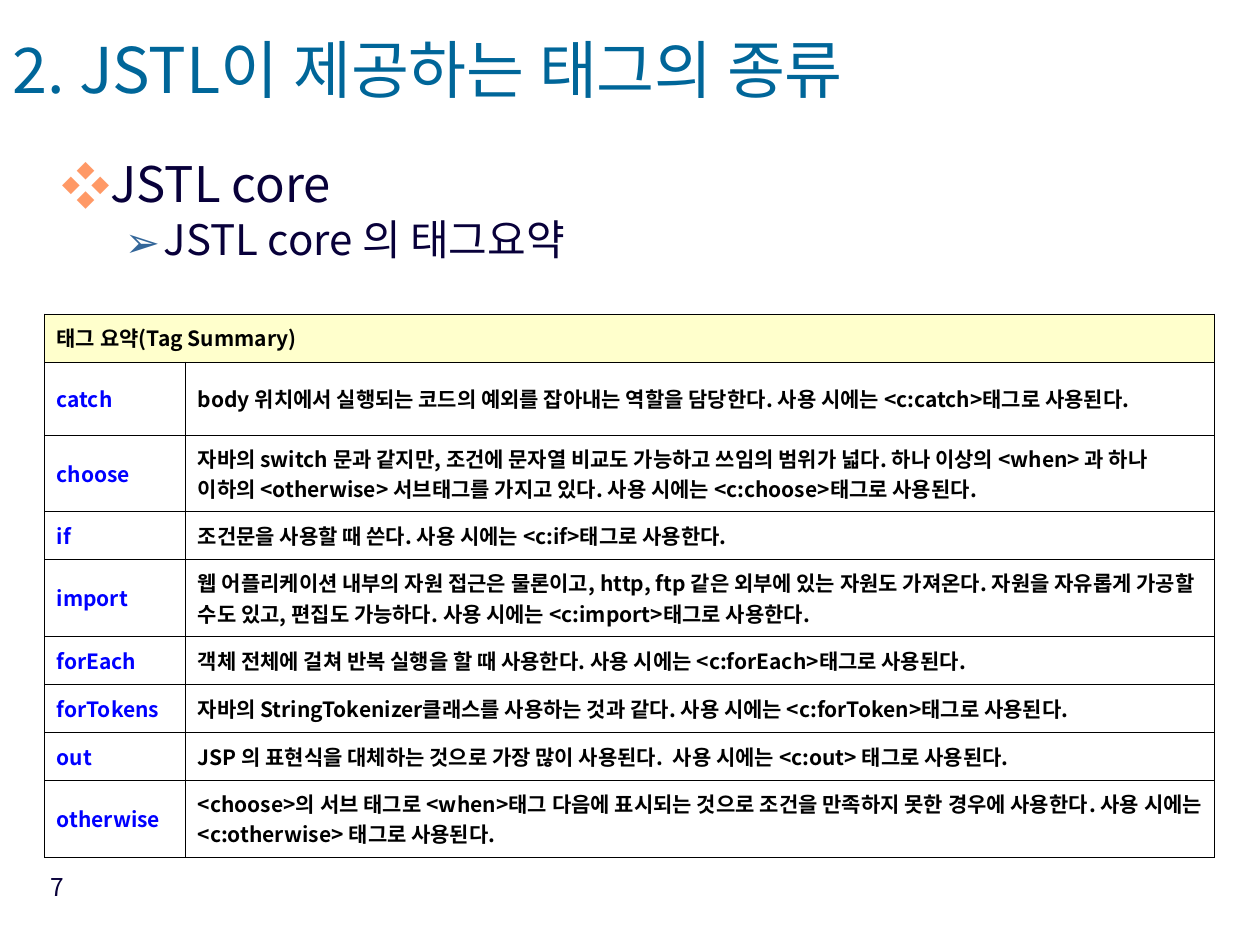
from dataclasses import dataclass

from lxml.etree import SubElement
from pptx import Presentation
from pptx.dml.color import RGBColor
from pptx.enum.text import MSO_ANCHOR, MSO_AUTO_SIZE, PP_ALIGN
from pptx.oxml.ns import qn
from pptx.util import Inches, Pt

UNIT = 0.1  # the slide is a grid of 100 columns by 75 rows


@dataclass(frozen=True)
class Theme:
    font: str = "Noto Sans CJK KR"
    title: str = "006699"
    body: str = "08003A"
    bullet: str = "FF9966"
    sub_bullet: str = "336699"
    tag: str = "0000FF"
    ink: str = "000000"
    header_fill: str = "FFFFCC"
    cell_fill: str = "FFFFFF"
    title_size: int = 36
    item_size: int = 28
    sub_item_size: int = 24
    table_size: int = 12
    number_size: int = 14
    border: float = 0.06


@dataclass(frozen=True)
class Box:
    column: float
    row: float
    columns: float
    rows: float

    def lengths(self):
        return [grid(n) for n in (self.column, self.row, self.columns, self.rows)]


THEME = Theme()
TITLE = "2. JSTL이 제공하는 태그의 종류"
ITEMS = [
    # text, size, bullet, bullet colour, left margin, hanging indent, space before
    ("JSTL core", THEME.item_size, "❖", THEME.bullet, 3.8, 3.8, 0),
    ("JSTL core 의 태그요약", THEME.sub_item_size, "➢", THEME.sub_bullet, 8.1, 3.1, 4),
]
TABLE_HEADER = "태그 요약(Tag Summary)"
TAGS = [
    # name, summary, row height
    ("catch", "body 위치에서 실행되는 코드의 예외를 잡아내는 역할을 담당한다. "
     "사용 시에는 <c:catch>태그로 사용된다.", 5.8),
    ("choose", "자바의 switch 문과 같지만, 조건에 문자열 비교도 가능하고 쓰임의 범위가 넓다. "
     "하나 이상의 <when> 과 하나 이하의 <otherwise> 서브태그를 가지고 있다. "
     "사용 시에는 <c:choose>태그로 사용된다.", 6.1),
    ("if", "조건문을 사용할 때 쓴다. 사용 시에는 <c:if>태그로 사용한다.", 3.8),
    ("import", "웹 어플리케이션 내부의 자원 접근은 물론이고, http, ftp 같은 외부에 있는 자원도 "
     "가져온다. 자원을 자유롭게 가공할 수도 있고, 편집도 가능하다. "
     "사용 시에는 <c:import>태그로 사용한다.", 6.1),
    ("forEach", "객체 전체에 걸쳐 반복 실행을 할 때 사용한다. "
     "사용 시에는 <c:forEach>태그로 사용된다.", 3.8),
    ("forTokens", "자바의 StringTokenizer클래스를 사용하는 것과 같다. "
     "사용 시에는 <c:forToken>태그로 사용된다.", 3.8),
    ("out", "JSP 의 표현식을 대체하는 것으로 가장 많이 사용된다.  "
     "사용 시에는 <c:out> 태그로 사용된다.", 3.8),
    ("otherwise", "<choose>의 서브 태그로 <when>태그 다음에 표시되는 것으로 조건을 만족하지 못한 "
     "경우에 사용한다. 사용 시에는 <c:otherwise> 태그로 사용된다.", 6.1),
]
LEFT_ALIGNED = {"choose", "import"}
HEADER_ROWS = 3.8
TAG_COLUMNS = 11.2


def grid(count):
    return Inches(count * UNIT)


def place(shape, box):
    shape.left, shape.top, shape.width, shape.height = box.lengths()


def format_runs(para, size, color, bold=False):
    for span in para.runs:
        span.font.name = THEME.font
        span.font.size = Pt(size)
        span.font.bold = bold
        span.font.color.rgb = RGBColor.from_string(color)
        SubElement(span.font._element, qn("a:ea"), typeface=THEME.font)


def add_bullet(para, char, color, margin, hanging):
    properties = para._p.get_or_add_pPr()
    properties.set("marL", str(grid(margin)))
    properties.set("indent", str(-grid(hanging)))
    bullet_color = SubElement(properties, qn("a:buClr"))
    SubElement(bullet_color, qn("a:srgbClr"), val=color)
    SubElement(properties, qn("a:buFont"), typeface=THEME.font)
    SubElement(properties, qn("a:buChar"), char=char)


def fill_title(shape, box):
    place(shape, box)
    frame = shape.text_frame
    frame.text = TITLE
    frame.auto_size = MSO_AUTO_SIZE.NONE
    frame.vertical_anchor = MSO_ANCHOR.MIDDLE
    para = frame.paragraphs[0]
    para.alignment = PP_ALIGN.LEFT
    para.line_spacing = 0.7
    format_runs(para, THEME.title_size, THEME.title)


def fill_body(shape, box):
    place(shape, box)
    frame = shape.text_frame
    frame.text = "\n".join(item[0] for item in ITEMS)
    frame.auto_size = MSO_AUTO_SIZE.NONE
    for level, (para, item) in enumerate(zip(frame.paragraphs, ITEMS)):
        _, size, char, color, margin, hanging, before = item
        para.level = level
        para.alignment = PP_ALIGN.JUSTIFY
        add_bullet(para, char, color, margin, hanging)
        para.line_spacing = 0.88
        para.space_before = Pt(before)
        format_runs(para, size, THEME.body)


def add_borders(cell):
    properties = cell._tc.get_or_add_tcPr()
    for position, side in enumerate(("lnL", "lnR", "lnT", "lnB")):
        line = properties.makeelement(qn(f"a:{side}"), {"w": str(Pt(THEME.border))})
        fill = SubElement(line, qn("a:solidFill"))
        SubElement(fill, qn("a:srgbClr"), val=THEME.ink)
        properties.insert(position, line)


def fill_cell(cell, text, color, fill, alignment=PP_ALIGN.LEFT):
    cell.text = text
    cell.vertical_anchor = MSO_ANCHOR.MIDDLE
    cell.fill.solid()
    cell.fill.fore_color.rgb = RGBColor.from_string(fill)
    add_borders(cell)
    para = cell.text_frame.paragraphs[0]
    para.alignment = alignment
    format_runs(para, THEME.table_size, color, bold=True)


def add_tag_table(slide, box):
    table = slide.shapes.add_table(len(TAGS) + 1, 2, *box.lengths()).table
    table.first_row = table.horz_banding = False
    table.columns[0].width = grid(TAG_COLUMNS)
    table.columns[1].width = grid(box.columns - TAG_COLUMNS)
    table.rows[0].height = grid(HEADER_ROWS)
    header, header_end = table.cell(0, 0), table.cell(0, 1)
    header.merge(header_end)
    fill_cell(header, TABLE_HEADER, THEME.ink, THEME.header_fill)
    add_borders(header_end)
    for row, (name, summary, height) in enumerate(TAGS, start=1):
        table.rows[row].height = grid(height)
        alignment = PP_ALIGN.LEFT if name in LEFT_ALIGNED else PP_ALIGN.JUSTIFY
        fill_cell(table.cell(row, 0), name, THEME.tag, THEME.cell_fill)
        fill_cell(table.cell(row, 1), summary, THEME.ink, THEME.cell_fill, alignment)


def add_page_number(slide, box):
    frame = slide.shapes.add_textbox(*box.lengths()).text_frame
    frame.word_wrap = True
    frame.text = "7"
    para = frame.paragraphs[0]
    para.alignment = PP_ALIGN.RIGHT
    format_runs(para, THEME.number_size, THEME.body)


def main():
    deck = Presentation()
    deck.slide_width, deck.slide_height = grid(100), grid(75)
    slide = deck.slides.add_slide(deck.slide_layouts[1])
    fill_title(slide.shapes.title, Box(0, 2.8, 85.4, 6.7))
    fill_body(slide.placeholders[1], Box(3.9, 12.3, 92.1, 11.8))
    add_tag_table(slide, Box(3.5, 24.9, 92.9, 43.3))
    add_page_number(slide, Box(1.4, 68.7, 4.7, 5.2))
    deck.save("out.pptx")


if __name__ == "__main__":
    main()
